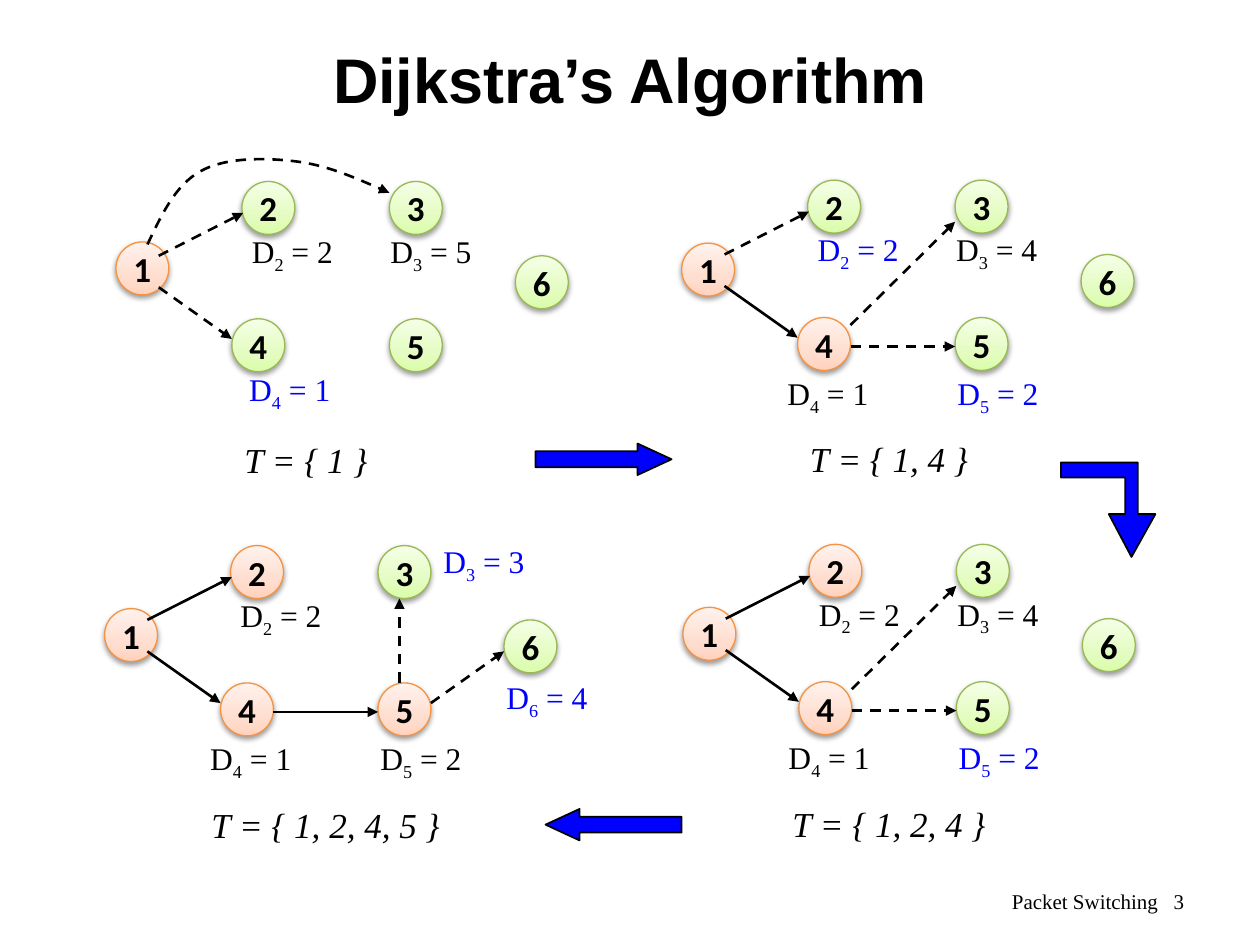
from lxml import etree
from pptx import Presentation
from pptx.dml.color import RGBColor
from pptx.enum.dml import MSO_LINE
from pptx.enum.shapes import MSO_CONNECTOR, MSO_SHAPE
from pptx.enum.text import MSO_ANCHOR, MSO_AUTO_SIZE, PP_ALIGN
from pptx.oxml import parse_xml
from pptx.oxml.ns import nsdecls, qn
from pptx.util import Inches, Pt

COLORS = {"black": "000000", "blue": "0000FF", "green": "98B955", "orange": "F69240"}
GRADIENTS = {
    "green": ((0, "DAFDA7"), (35, "E4FCC2"), (100, "F5FFE7")),
    "orange": ((0, "FFD2BD"), (35, "FFDED0"), (100, "FFF2ED")),
}
SERIF = "Times New Roman"
NODE_SIZE = 0.42

NODES = {1: (0, 0), 2: (1, -0.5), 3: (2.17, -0.5), 4: (0.92, 0.59), 5: (2.17, 0.59), 6: (3.17, 0.09)}
EDGES = {
    (1, 2): (0.34, 0.09, 1.01, -0.25),
    (1, 4): (0.34, 0.34, 0.92, 0.75),
    (4, 3): (1.34, 0.65, 2.17, -0.17),
    (4, 5): (1.34, 0.82, 2.17, 0.82),
    (5, 3): (2.34, 0.59, 2.34, -0.08),
    (5, 6): (2.59, 0.75, 3.17, 0.34),
}
LABELS = {2: (0.98, -0.15), 3: (2.08, -0.15), 4: (0.74, 0.99), 5: (2.09, 0.99), 6: (3.09, 0.5)}

STAGES = [
    {"origin": (0.92, 1.94), "tree": [1], "tree_at": (0.92, 1.49, 1.18),
     "solid": [], "dashed": [(1, 2), (1, 4)],
     "costs": {2: 2, 3: 5, 4: 1}, "new": [4],
     "moved_nodes": {1: (0, -0.02)}, "moved_labels": {4: (0.96, 0.95)}},
    {"origin": (5.41, 1.93), "tree": [1, 4], "tree_at": (0.92, 1.49, 1.46),
     "solid": [(1, 4)], "dashed": [(1, 2), (4, 3), (4, 5)],
     "costs": {2: 2, 3: 4, 4: 1, 5: 2}, "new": [2, 5]},
    {"origin": (5.42, 4.82), "tree": [1, 2, 4], "tree_at": (0.77, 1.5, 1.74),
     "solid": [(1, 2), (1, 4)], "dashed": [(4, 3), (4, 5)],
     "costs": {2: 2, 3: 4, 4: 1, 5: 2}, "new": [5]},
    {"origin": (0.83, 4.83), "tree": [1, 2, 4, 5], "tree_at": (0.75, 1.5, 2.02),
     "solid": [(1, 2), (1, 4), (4, 5)], "dashed": [(5, 3), (5, 6)],
     "costs": {2: 2, 3: 3, 4: 1, 5: 2, 6: 4}, "new": [3, 6],
     "moved_labels": {3: (2.59, -0.58)}},
]
CURVE = [(1.17, 1.94), (1.28, 1.71), (1.39, 1.47), (1.59, 1.36), (1.78, 1.25),
         (2.09, 1.25), (2.34, 1.28), (2.59, 1.31), (2.84, 1.42), (3.09, 1.53)]
BENT_ARROW = [(8.98, 4.42), (8.8, 4.08), (8.93, 4.08), (8.93, 3.79), (8.42, 3.79),
              (8.42, 3.67), (9.03, 3.67), (9.03, 4.08), (9.17, 4.08)]
BLOCK_ARROWS = [(4.25, 3.52, False), (4.33, 6.42, True)]

presentation = Presentation()
presentation.slide_width, presentation.slide_height = Inches(10), Inches(7.5)
slide = presentation.slides.add_slide(presentation.slide_layouts[6])


def rgb(name):
    return RGBColor.from_string(COLORS[name])


def set_font(paragraph, name, size, color="black", bold=False, italic=False):
    font = paragraph.font
    font.name, font.size, font.bold, font.italic = name, Pt(size), bold, italic
    font.color.rgb = rgb(color)


def add_text(box, pieces, font, size, align=PP_ALIGN.LEFT, wrap=False, middle=False, **style):
    shape = slide.shapes.add_textbox(*map(Inches, box))
    frame = shape.text_frame
    frame.word_wrap = wrap
    frame.auto_size = MSO_AUTO_SIZE.NONE if wrap else MSO_AUTO_SIZE.SHAPE_TO_FIT_TEXT
    frame.vertical_anchor = MSO_ANCHOR.MIDDLE if middle else MSO_ANCHOR.TOP
    paragraph = frame.paragraphs[0]
    paragraph.alignment = align
    set_font(paragraph, font, size, **style)
    for text, baseline in pieces:
        run = paragraph.add_run()
        run.text = text
        if baseline:
            run._r.get_or_add_rPr().set("baseline", str(baseline * 1000))


def add_node(number, left, top, color):
    shape = slide.shapes.add_shape(MSO_SHAPE.OVAL, *map(Inches, (left, top, NODE_SIZE, NODE_SIZE)))
    shape.fill.gradient()
    shape.fill.gradient_angle = 90
    stops = shape._element.spPr.find(".//" + qn("a:gsLst"))
    for stop in list(stops):
        stops.remove(stop)
    for position, value in GRADIENTS[color]:
        stop = etree.SubElement(stops, qn("a:gs"), pos=str(position * 1000))
        etree.SubElement(stop, qn("a:srgbClr"), val=value)
    shape.line.color.rgb = rgb(color)
    shape.line.width = Pt(0.75)
    shape.shadow.inherit = False
    shape._element.spPr.find(qn("a:effectLst")).append(parse_xml(
        f'<a:outerShdw {nsdecls("a")} blurRad="{Pt(3.1)}" dist="{Pt(1.6)}" dir="5400000" '
        'rotWithShape="0"><a:srgbClr val="000000"><a:alpha val="38000"/></a:srgbClr></a:outerShdw>'))
    frame = shape.text_frame
    frame.word_wrap = False
    frame.vertical_anchor = MSO_ANCHOR.MIDDLE
    frame.text = str(number)
    frame.paragraphs[0].alignment = PP_ALIGN.CENTER
    set_font(frame.paragraphs[0], "Calibri", 20, bold=True)


def style_arrow(shape, dashed):
    shape.line.color.rgb = rgb("black")
    shape.line.width = Pt(1.5)
    if dashed:
        shape.line.dash_style = MSO_LINE.DASH
    properties = shape._element.spPr
    etree.SubElement(properties.find(qn("a:ln")), qn("a:tailEnd"), type="triangle")
    if properties.find(qn("a:effectLst")) is None:
        etree.SubElement(properties, qn("a:effectLst"))


def add_outline(points, close):
    points = [tuple(map(Inches, point)) for point in points]
    builder = slide.shapes.build_freeform(*points[0])
    builder.add_line_segments(points[1:], close=close)
    shape = builder.convert_to_shape()
    shape.shadow.inherit = False
    return shape


def add_curve(points):
    shape = add_outline(points, False)
    shape.fill.background()
    outline = shape._element.spPr.find(".//" + qn("a:path"))
    segments = outline.findall(qn("a:lnTo"))
    for start in range(0, len(segments), 3):
        curve = etree.SubElement(outline, qn("a:cubicBezTo"))
        for segment in segments[start:start + 3]:
            curve.append(segment[0])
            outline.remove(segment)
    style_arrow(shape, True)


def style_block(shape):
    shape.shadow.inherit = False
    shape.fill.solid()
    shape.fill.fore_color.rgb = rgb("blue")
    shape.line.color.rgb = rgb("black")
    shape.line.width = Pt(1)


def add_stage(stage):
    x, y = stage["origin"]
    for number, (dx, dy) in {**NODES, **stage.get("moved_nodes", {})}.items():
        add_node(number, x + dx, y + dy, "orange" if number in stage["tree"] else "green")
    for edge in stage["solid"] + stage["dashed"]:
        x1, y1, x2, y2 = EDGES[edge]
        ends = map(Inches, (x + x1, y + y1, x + x2, y + y2))
        connector = slide.shapes.add_connector(MSO_CONNECTOR.STRAIGHT, *ends)
        style_arrow(connector, edge in stage["dashed"])
    places = {**LABELS, **stage.get("moved_labels", {})}
    for number, cost in stage["costs"].items():
        dx, dy = places[number]
        add_text((x + dx, y + dy, 0.86, 0.4), [("D", 0), (str(number), -25), (f" = {cost}", 0)],
                 SERIF, 18, color="blue" if number in stage["new"] else "black")
    dx, dy, width = stage["tree_at"]
    members = ", ".join(map(str, stage["tree"]))
    add_text((x + dx, y + dy, width, 0.43), [(f"T = {{ {members} }}", 0)], SERIF, 20, italic=True)


add_text((0.75, 0, 8.5, 1.25), [("Dijkstra’s Algorithm", 0)], "Arial", 36,
         align=PP_ALIGN.CENTER, wrap=True, middle=True, bold=True)
add_text((7.17, 6.95, 2.33, 0.4), [("Packet Switching \u00a0 3", 0)], SERIF, 12,
         align=PP_ALIGN.RIGHT, wrap=True, middle=True)
for stage in STAGES:
    add_stage(stage)
add_curve(CURVE)
style_block(add_outline(BENT_ARROW, True))
for left, top, flipped in BLOCK_ARROWS:
    arrow = slide.shapes.add_shape(MSO_SHAPE.RIGHT_ARROW, *map(Inches, (left, top, 1.08, 0.25)))
    arrow.adjustments[0], arrow.adjustments[1] = 0.5, 1.08
    if flipped:
        arrow._element.spPr.find(qn("a:xfrm")).set("flipH", "1")
    style_block(arrow)

presentation.save("out.pptx")
